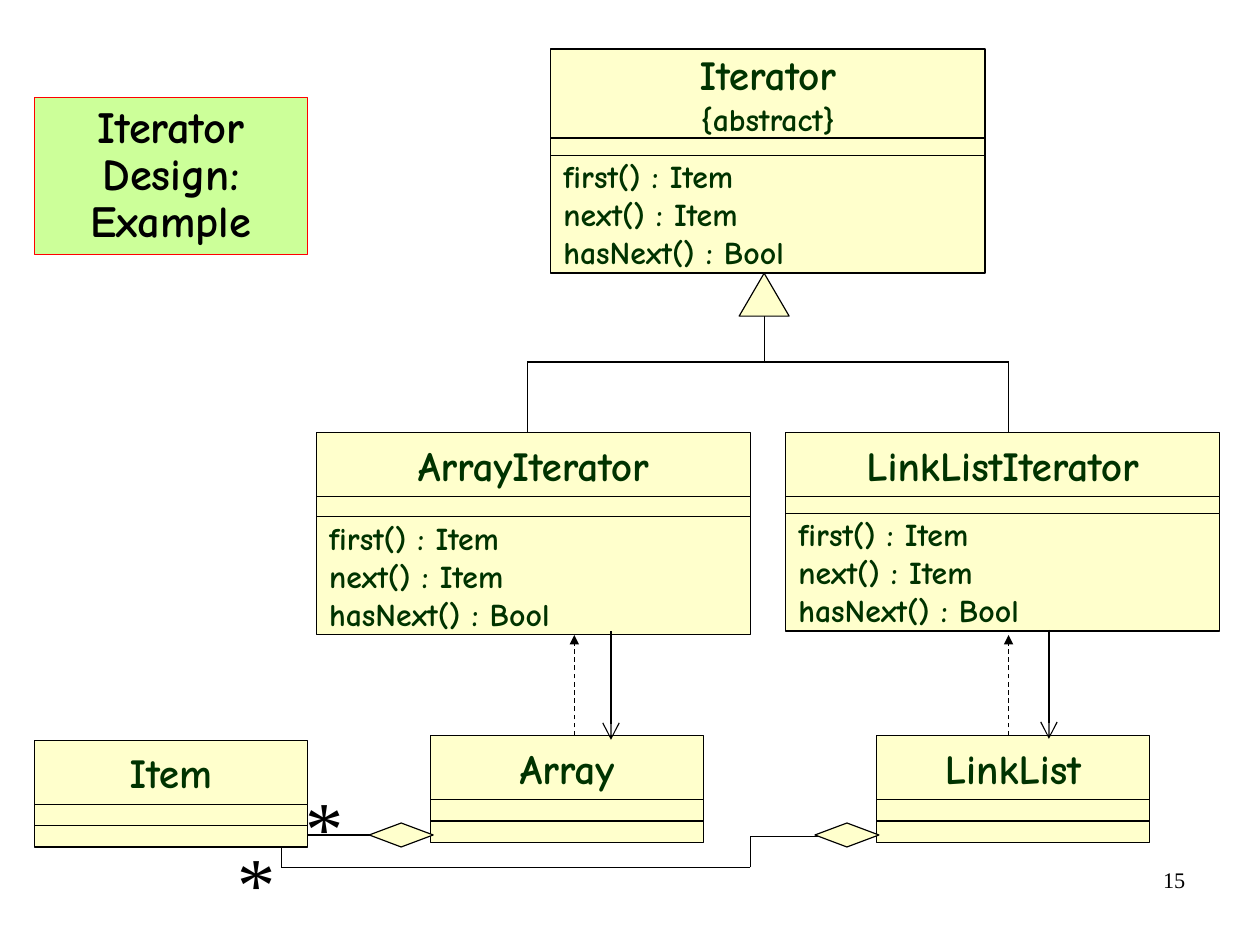
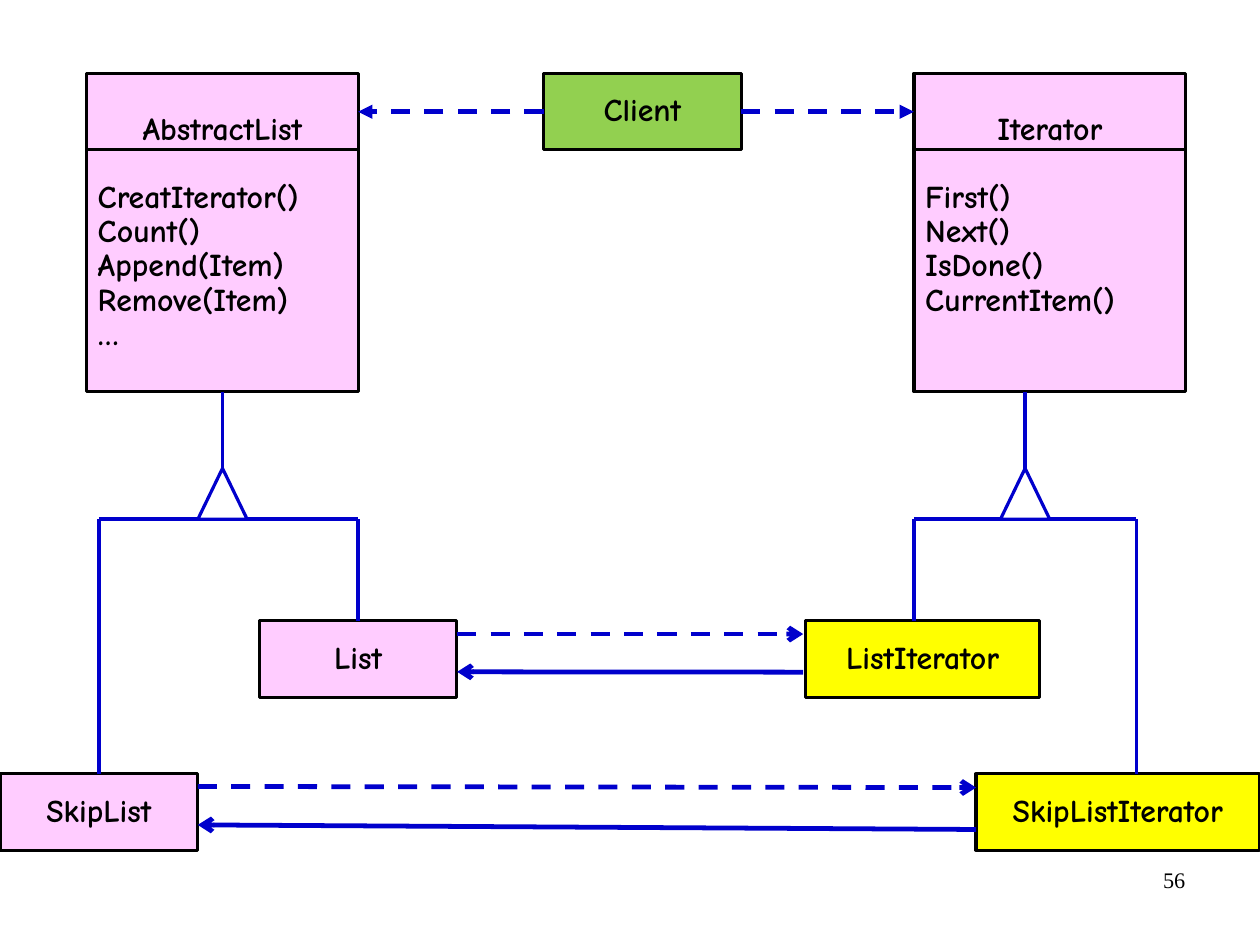
from itertools import pairwise

from pptx import Presentation
from pptx.dml.color import RGBColor
from pptx.enum.dml import MSO_LINE
from pptx.enum.shapes import MSO_CONNECTOR, MSO_SHAPE as SHAPE
from pptx.enum.text import MSO_ANCHOR as ANCHOR, PP_ALIGN as ALIGN
from pptx.oxml.ns import qn
from pptx.util import Pt
from lxml.etree import SubElement

UML_FONT, PLAIN_FONT = "Comic Neue", "Times New Roman"
BLACK, WHITE, BLUE, GREEN_TEXT = "000000", "FFFFFF", "0000CC", "003300"
CREAM, PINK, YELLOW, GREEN = "FFFFCC", "FFCCFF", "FFFF00", "92D050"
TITLE_FILL, TITLE_EDGE = "CCFF99", "FF0000"

THIN = (BLACK, 0.75)
BOLD_EDGE = (BLACK, 2)
TREE = (BLUE, 2.25)
RELATION = (BLUE, 3)

METHODS = ["first() : Item", "next() : Item", "hasNext() : Bool"]
STRIP, METHODS_HEIGHT = 13.5, 74.2
EXAMPLE_CLASSES = [
    (["Iterator", "{abstract}"], 347, 30.8, 273.6, 56.2, 10.8, METHODS),
    (["ArrayIterator"], 199.4, 272.6, 273.4, 40.3, 12.6, METHODS),
    (["LinkListIterator"], 495, 272.6, 273.4, 40.3, 10.4, METHODS),
    (["Array"], 271.2, 463.4, 172, 40.3, STRIP, []),
    (["LinkList"], 552.2, 463.4, 172, 40.3, STRIP, []),
    (["Item"], 21.6, 466.3, 172.1, 40.3, STRIP, []),
]
EXAMPLE_TREE = dict(x=481.4, parent_y=172.1, triangle=(172.1, 31.5, 27),
                    bus_y=228, children=[(332.1, 272.6), (635.4, 272.6)])
CREATIONS = [[(361.8, 463.4), (361.8, 400)], [(635.4, 463.4), (635.4, 400)]]
ACCESSES = [[(384.9, 397.4), (384.9, 466)], [(660.8, 396.7), (660.8, 465.4)]]
AGGREGATIONS = [
    [(234, 526), (193.7, 526)],
    [(515.5, 527), (472.7, 527), (472.7, 546.2), (177.1, 546.2), (177.1, 533.3)],
]
DIAMONDS = [(232.6, 518.4), (513.4, 518.4)]
MULTIPLICITIES = [(185.2, 487.1), (142.6, 522.4)]

BOX_HEIGHT, CLASS_WIDTH, CLASS_HEIGHT = 48.2, 171.2, 200.6
TOP, LEAF_TOP, SKIP_TOP = 46.1, 391, 487.4
ABSTRACTIONS = [
    ("AbstractList", 54.5, ["CreatIterator()", "Count()", "Append(Item)", "Remove(Item)", "…"]),
    ("Iterator", 575.8, ["First()", "Next()", "IsDone()", "CurrentItem()"]),
]
PARTICIPANTS = [
    ("Client", 342.4, TOP, 124.6, GREEN),
    ("SkipListIterator", 614.9, SKIP_TOP, 178.6, YELLOW),
    ("ListIterator", 507.4, LEAF_TOP, 147.6, YELLOW),
    ("SkipList", 0, SKIP_TOP, 124.6, PINK),
    ("List", 163.4, LEAF_TOP, 124.4, PINK),
]
LIST_TREES = [
    dict(x=140.2, children=[(62.3, SKIP_TOP), (225.6, LEAF_TOP)]),
    dict(x=645.8, children=[(575.8, LEAF_TOP), (715.9, SKIP_TOP)]),
]
RELATIONS = [
    ([(342.4, 70.4), (225.6, 70.4)], "triangle", True),
    ([(467, 70.4), (575.8, 70.4)], "triangle", True),
    ([(124.6, 495.4), (614.9, 496.1)], "arrow", True),
    ([(288, 399.4), (506, 399.4)], "arrow", True),
    ([(614.9, 522.5), (124.6, 519.6)], "arrow", False),
    ([(506, 423.4), (288, 423.2)], "arrow", False),
]


def rgb(color):
    return RGBColor.from_string(color)


def set_line(line, style):
    color, width = style
    line.color.rgb = rgb(color)
    line.width = Pt(width)


def write(holder, lines, sizes, color=BLACK, font=UML_FONT, bold=True, align=ALIGN.CENTER,
          anchor=ANCHOR.MIDDLE, insets=(7.2, 3.6), spacing=None):
    frame = holder.text_frame
    frame.text = "\n".join(lines)
    frame.word_wrap = True
    frame.vertical_anchor = anchor
    frame.margin_left = frame.margin_right = Pt(insets[0])
    frame.margin_top = frame.margin_bottom = Pt(insets[1])
    for index, paragraph in enumerate(frame.paragraphs):
        paragraph.alignment = align
        if spacing:
            paragraph.line_spacing = spacing
        for run in paragraph.runs:
            run.font.name = font
            run.font.size = Pt(sizes[min(index, len(sizes) - 1)])
            run.font.bold = bold
            run.font.color.rgb = rgb(color)
    return frame.paragraphs


def add_box(slide, left, top, width, height, fill, edge, kind=SHAPE.RECTANGLE):
    box = slide.shapes.add_shape(kind, Pt(left), Pt(top), Pt(width), Pt(height))
    box.shadow.inherit = False
    box.fill.solid()
    box.fill.fore_color.rgb = rgb(fill)
    set_line(box.line, edge)
    return box


def add_label(slide, text, left, top, width, height, size, align):
    label = slide.shapes.add_textbox(Pt(left), Pt(top), Pt(width), Pt(height))
    write(label, [text], [size], font=PLAIN_FONT, bold=False, align=align, anchor=ANCHOR.TOP)


def add_route(slide, points, style, arrow=None, dashed=False, arrow_size="med"):
    for start, end in pairwise(points):
        segment = slide.shapes.add_connector(MSO_CONNECTOR.STRAIGHT, *map(Pt, start + end))
        SubElement(segment._element.spPr, qn("a:effectLst"))
        set_line(segment.line, style)
        if dashed:
            segment.line.dash_style = MSO_LINE.DASH
        if arrow and end == points[-1]:
            SubElement(segment.line._get_or_add_ln(), qn("a:tailEnd"), type=arrow,
                       w=arrow_size, len=arrow_size)


def add_inheritance(slide, x, parent_y, triangle, bus_y, children, style, fill, triangle_edge):
    add_route(slide, [(x, parent_y), (x, bus_y)], style)
    first, second = children
    add_route(slide, [first, (first[0], bus_y), (second[0], bus_y), second], style)
    top, width, height = triangle
    add_box(slide, x - width / 2, top, width, height, fill, triangle_edge,
            SHAPE.ISOSCELES_TRIANGLE)


def add_uml_class(slide, heading, left, top, width, heading_height, gap, methods):
    insets = (7.9, 4.3)
    name_box = add_box(slide, left, top, width, heading_height, CREAM, THIN)
    write(name_box, heading, [26, 20], GREEN_TEXT, insets=insets)
    strip_top = top + heading_height
    add_box(slide, left, strip_top, width, STRIP, CREAM, THIN)
    methods_box = add_box(slide, left, strip_top + gap, width,
                          METHODS_HEIGHT if methods else STRIP, CREAM, THIN)
    if methods:
        write(methods_box, methods, [20], GREEN_TEXT, align=ALIGN.LEFT, insets=insets)


def add_page(deck, number):
    slide = deck.slides.add_slide(deck.slide_layouts[6])
    add_label(slide, number, 568.8, 541.9, 185, 41, 14, ALIGN.RIGHT)
    return slide


def build_example(deck):
    slide = add_page(deck, "15")
    title = add_box(slide, 21.6, 61.6, 172.1, 98.9, TITLE_FILL, (TITLE_EDGE, 0.75))
    write(title, ["Iterator\vDesign: Example"], [28], insets=(0, 0), spacing=0.88)
    for uml_class in EXAMPLE_CLASSES:
        add_uml_class(slide, *uml_class)
    add_inheritance(slide, **EXAMPLE_TREE, style=THIN, fill=CREAM, triangle_edge=THIN)
    for points in CREATIONS:
        add_route(slide, points, THIN, "triangle", dashed=True)
    for points in ACCESSES:
        add_route(slide, points, THIN, "arrow", arrow_size="lg")
    for points in AGGREGATIONS:
        add_route(slide, points, THIN)
    for left, top in DIAMONDS:
        add_box(slide, left, top, 40.3, 15.1, CREAM, THIN, SHAPE.DIAMOND)
    for left, top in MULTIPLICITIES:
        add_label(slide, "*", left, top, 33.1, 64.8, 48, ALIGN.LEFT)


def build_structure(deck):
    slide = add_page(deck, "56")
    for name, left, methods in ABSTRACTIONS:
        abstraction = add_box(slide, left, TOP, CLASS_WIDTH, CLASS_HEIGHT, PINK, BOLD_EDGE)
        heading, *_ = write(abstraction, [name] + methods, [20], align=ALIGN.LEFT,
                            anchor=ANCHOR.TOP, insets=(7.2, 24.8), spacing=0.9)
        heading.alignment = ALIGN.CENTER
        heading.space_after = Pt(21.5)
        divider_y = TOP + BOX_HEIGHT
        add_route(slide, [(left, divider_y), (left + CLASS_WIDTH, divider_y)], (BLACK, 1.5))
    for name, left, top, width, fill in PARTICIPANTS:
        participant = add_box(slide, left, top, width, BOX_HEIGHT, fill, BOLD_EDGE)
        write(participant, [name], [20], spacing=0.9)
    for tree in LIST_TREES:
        add_inheritance(slide, **tree, parent_y=TOP + CLASS_HEIGHT, triangle=(295, 31, 32),
                        bus_y=327, style=TREE, fill=WHITE, triangle_edge=(BLUE, 2))
    for points, arrow, dashed in RELATIONS:
        add_route(slide, points, RELATION, arrow, dashed)


def main():
    deck = Presentation()
    deck.slide_width = Pt(793.75)
    deck.slide_height = Pt(595.25)
    build_example(deck)
    build_structure(deck)
    deck.save("out.pptx")


if __name__ == "__main__":
    main()
